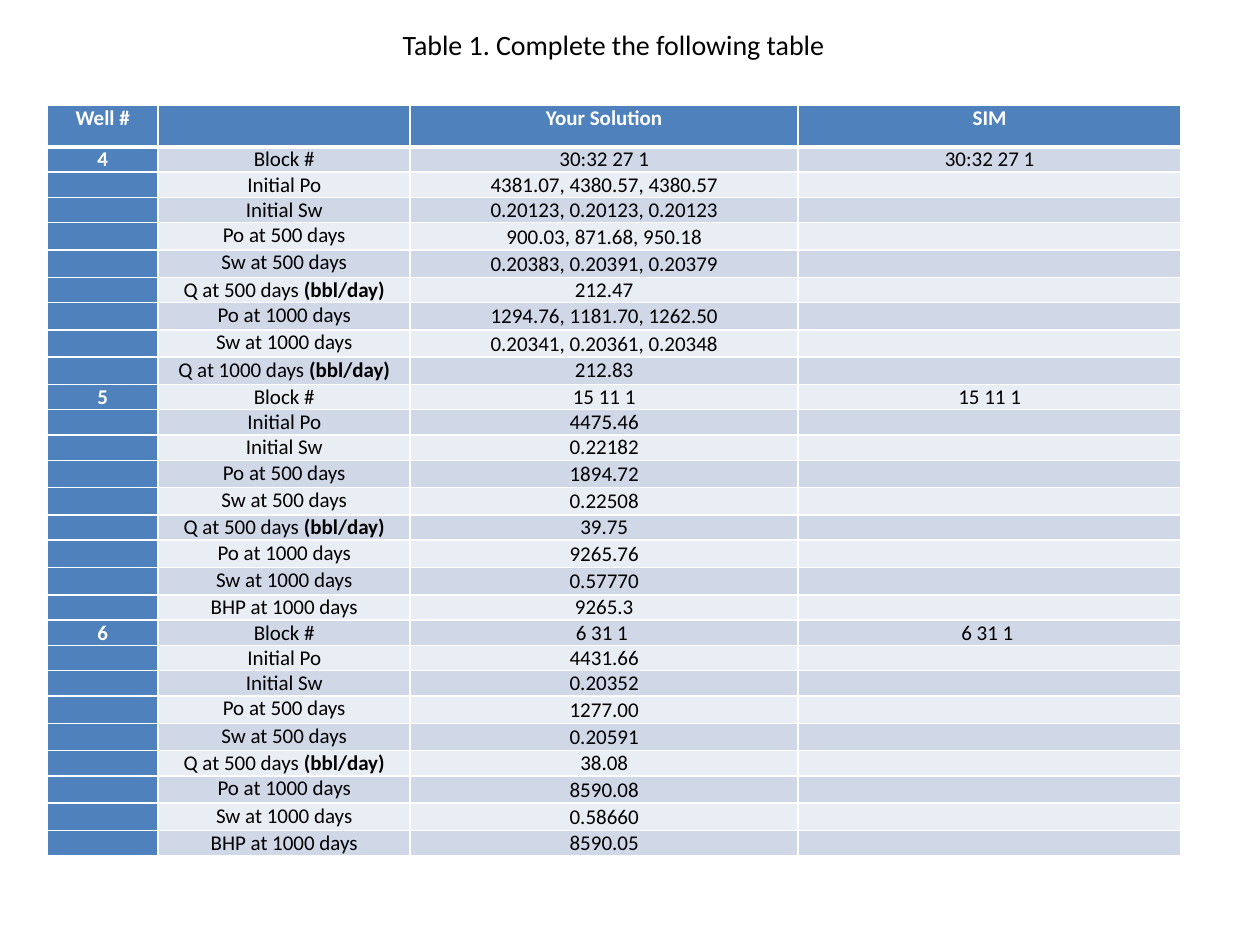
from lxml import etree
from pptx import Presentation
from pptx.dml.color import RGBColor
from pptx.enum.text import MSO_ANCHOR, MSO_AUTO_SIZE, PP_ALIGN
from pptx.oxml.ns import qn
from pptx.util import Cm, Pt

CENTER = PP_ALIGN.CENTER
TOP, MIDDLE = MSO_ANCHOR.TOP, MSO_ANCHOR.MIDDLE
GROW = MSO_AUTO_SIZE.SHAPE_TO_FIT_TEXT

COLORS = {"white": "FFFFFF", "black": "000000", "blue": "4F81BD",
          "band_dark": "D0D8E8", "band_light": "E9EDF4"}
FONT = "Calibri"
UNIT = "(bbl/day)"

HEADINGS = ["Well #", "", "Your Solution", "SIM"]
COLUMN_WIDTHS = [2.24, 5.08, 7.82, 7.72]
HEADER_HEIGHT, PLAIN_HEIGHT, CENTERED_HEIGHT = 0.84, 0.51, 0.55

QUANTITIES = ["Block #", "Initial Po", "Initial Sw", "Po at 500 days",
              "Sw at 500 days", "Q at 500 days", "Po at 1000 days",
              "Sw at 1000 days"]
CENTERED_QUANTITIES = {q for q in QUANTITIES if q[:2] in ("Po", "Sw")}

# Well number, last quantity, solution values in the order of the quantities
WELLS = [
    ("4", "Q at 1000 days",
     ["30:32 27 1", "4381.07, 4380.57, 4380.57", "0.20123, 0.20123, 0.20123",
      "900.03, 871.68, 950.18", "0.20383, 0.20391, 0.20379", "212.47",
      "1294.76, 1181.70, 1262.50", "0.20341, 0.20361, 0.20348", "212.83"]),
    ("5", "BHP at 1000 days",
     ["15 11 1", "4475.46", "0.22182", "1894.72", "0.22508", "39.75",
      "9265.76", "0.57770", "9265.3"]),
    ("6", "BHP at 1000 days",
     ["6 31 1 ", "4431.66", "0.20352", "1277.00", "0.20591", "38.08",
      "8590.08", "0.58660", "8590.05"]),
]


def rgb(name):
    return RGBColor.from_string(COLORS[name])


def add_run(paragraph, text, size, color, bold=False):
    run = paragraph.add_run()
    run.text = text
    run.font.name = FONT
    run.font.size = Pt(size)
    run.font.bold = bold
    run.font.color.rgb = rgb(color)


def set_borders(cell, bottom):
    """Draw white cell edges; only the bottom edge varies in width."""
    properties = cell._tc.get_or_add_tcPr()
    widths = {"a:lnL": 1, "a:lnR": 1, "a:lnT": 1, "a:lnB": bottom}
    for index, (tag, width) in enumerate(widths.items()):
        edge = etree.Element(qn(tag), w=str(Pt(width)))
        fill = etree.SubElement(edge, qn("a:solidFill"))
        etree.SubElement(fill, qn("a:srgbClr"), val=COLORS["white"])
        properties.insert(index, edge)


def fill_cell(cell, runs, fill, color="black", centered=False, bottom=1):
    """Runs are pairs of text and bold."""
    cell.fill.solid()
    cell.fill.fore_color.rgb = rgb(fill)
    set_borders(cell, bottom)
    side = Cm(0.02 if centered else 0.17)
    cell.margin_left = cell.margin_right = side
    cell.margin_top = Cm(0.02 if centered else 0)
    cell.margin_bottom = 0
    cell.vertical_anchor = MIDDLE if centered else TOP
    paragraph = cell.text_frame.paragraphs[0]
    paragraph.alignment = CENTER
    for text, bold in runs:
        add_run(paragraph, text, 12, color, bold)
    if not runs:
        # Keeps an empty cell from stretching its row
        etree.SubElement(paragraph._p, qn("a:endParaRPr"), sz="1000")


def add_title(slide, left, top, width, height):
    title = slide.shapes.add_textbox(Cm(left), Cm(top), Cm(width), Cm(height))
    frame = title.text_frame
    frame.word_wrap = True
    frame.auto_size = GROW
    paragraph = frame.paragraphs[0]
    paragraph.alignment = CENTER
    add_run(paragraph, "Table 1. Complete the following table", 16, "black")


def well_rows():
    """Yield well number, quantity, solution and simulator text per row."""
    for well, last_quantity, solutions in WELLS:
        for index, quantity in enumerate(QUANTITIES + [last_quantity]):
            first = index == 0
            solution = solutions[index]
            yield (well if first else "", quantity, solution,
                   solution if first else "")


def add_well_table(slide, left, top, width, height):
    rows = list(well_rows())
    table = slide.shapes.add_table(
        len(rows) + 1, len(HEADINGS),
        Cm(left), Cm(top), Cm(width), Cm(height)).table
    for column, column_width in zip(table.columns, COLUMN_WIDTHS):
        column.width = Cm(column_width)

    # Header
    table.rows[0].height = Cm(HEADER_HEIGHT)
    for index, heading in enumerate(HEADINGS):
        fill_cell(table.cell(0, index), [(heading, True)] if heading else [],
                  "blue", "white", bottom=3)

    # Banded rows of the wells
    for number, (well, quantity, solution, simulated) in enumerate(rows, 1):
        centered = quantity in CENTERED_QUANTITIES
        tall = centered or quantity == "Q at 1000 days"
        table.rows[number].height = Cm(
            CENTERED_HEIGHT if tall else PLAIN_HEIGHT)
        band = "band_dark" if number % 2 else "band_light"
        label = [(quantity, False)]
        if quantity.startswith("Q"):
            label = [(quantity + " ", False), (UNIT, True)]
        fill_cell(table.cell(number, 0), [(well, True)] if well else [],
                  "blue", "white")
        fill_cell(table.cell(number, 1), label, band)
        fill_cell(table.cell(number, 2), [(solution, False)], band,
                  centered=centered)
        fill_cell(table.cell(number, 3),
                  [(simulated, False)] if simulated else [], band)


def main():
    deck = Presentation()
    deck.slide_width, deck.slide_height = Cm(25.4), Cm(19.05)
    slide = deck.slides.add_slide(deck.slide_layouts[6])
    add_title(slide, 1.47, 0.43, 21.8, 0.94)
    add_well_table(slide, 0.95, 2.12, 22.86, 15.09)
    deck.save("out.pptx")


if __name__ == "__main__":
    main()
